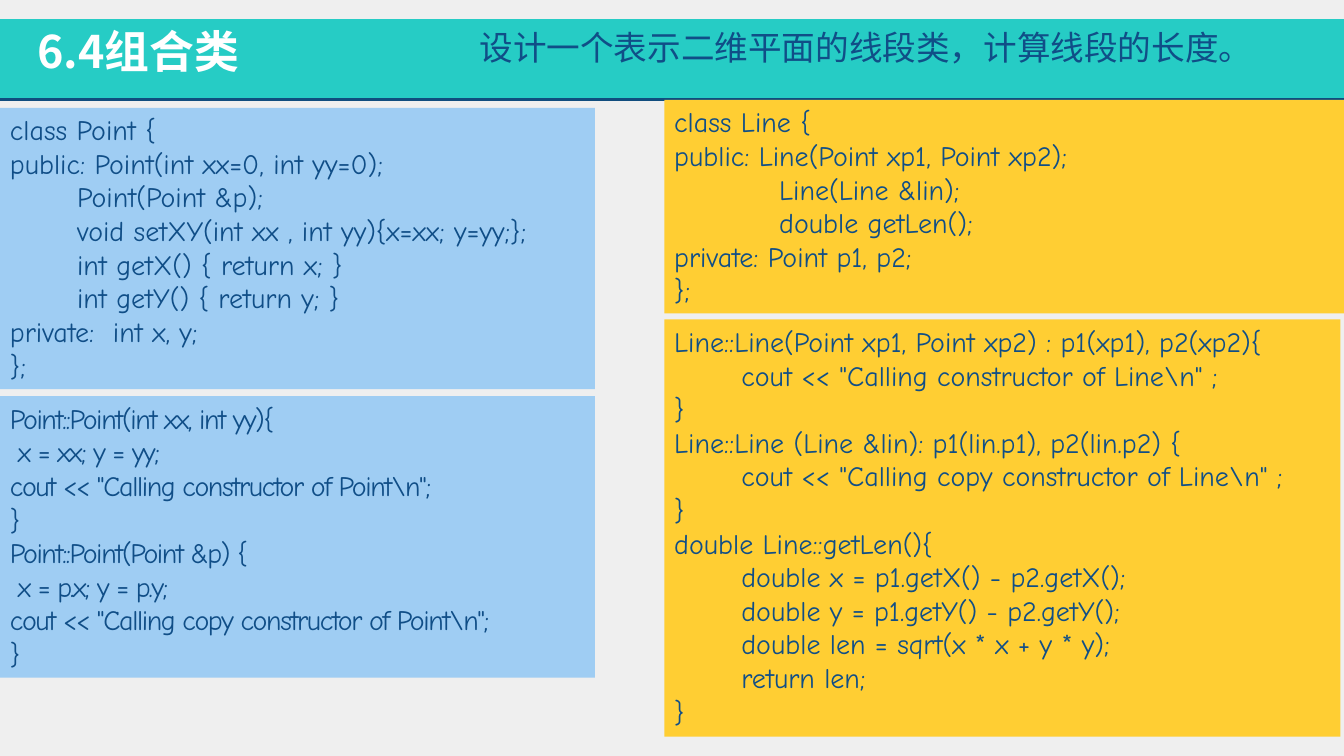
import pptx
import pptx.dml.color
import pptx.enum.shapes
import pptx.enum.text
import pptx.oxml.ns
import pptx.util
from lxml import etree

Pt = pptx.util.Pt
COLORS = {
    "background": "EFEFEF",
    "band": "26CCC5",
    "rule": "104D7E",
    "text": "104E87",
    "title": "FFFFFF",
    "point": "9FCDF3",
    "line": "FFCE33",
}
HEADING_FONT = "Noto Sans CJK JP"
CODE_FONT = "Comic Neue"


def rgb(name):
    return pptx.dml.color.RGBColor.from_string(COLORS[name])


def write_text(shape, text, font=CODE_FONT, size=20, color="text", bold=False,
               anchor="TOP", tracking=0, indent=0):
    frame = shape.text_frame
    frame.word_wrap = True
    frame.auto_size = pptx.enum.text.MSO_AUTO_SIZE.NONE
    frame.vertical_anchor = pptx.enum.text.MSO_ANCHOR[anchor]
    for index, line in enumerate(text.split("\n")):
        paragraph = frame.paragraphs[0] if index == 0 else frame.add_paragraph()
        paragraph.alignment = pptx.enum.text.PP_ALIGN.LEFT
        if line.startswith("\t"):
            paragraph._p.get_or_add_pPr().set("marL", str(Pt(indent)))
        run = paragraph.add_run()
        run.text = line.removeprefix("\t")
        run.font.name = font
        run.font.size = Pt(size)
        run.font.bold = bold
        run.font.color.rgb = rgb(color)
        properties = run.font._element
        east_asian = etree.SubElement(properties, pptx.oxml.ns.qn("a:ea"))
        east_asian.set("typeface", font)
        if tracking:
            properties.set("spc", str(tracking * 100))


presentation = pptx.Presentation()
presentation.slide_width = Pt(960)
presentation.slide_height = Pt(540)
slide = presentation.slides.add_slide(presentation.slide_layouts[5])
slide.background.fill.solid()
slide.background.fill.fore_color.rgb = rgb("background")
shapes = slide.shapes

band = shapes.add_shape(pptx.enum.shapes.MSO_SHAPE.RECTANGLE, 0, Pt(13.7), Pt(960), Pt(57.6))
band.shadow.inherit = False
band.fill.solid()
band.fill.fore_color.rgb = rgb("band")
band.line.fill.background()

rule = shapes.add_connector(pptx.enum.shapes.MSO_CONNECTOR.STRAIGHT, 0, Pt(71.3), Pt(960), Pt(71.3))
rule.line.color.rgb = rgb("rule")
rule.line.width = Pt(2)
etree.SubElement(rule._element.spPr, pptx.oxml.ns.qn("a:effectLst"))

title = shapes.title
title.left, title.top, title.width, title.height = Pt(19.5), Pt(13), Pt(632), Pt(46)
write_text(title, "6.4组合类", font=HEADING_FONT, size=32, color="title", bold=True, anchor="MIDDLE")
rule._element.addnext(title._element)

task = shapes.add_textbox(Pt(335.5), Pt(16), Pt(587), Pt(36))
write_text(task, "设计一个表示二维平面的线段类，计算线段的长度。", font=HEADING_FONT, size=24, anchor="MIDDLE")

POINT_METHODS = r"""Point::Point(int xx, int yy){
 x = xx; y = yy;
cout << "Calling constructor of Point\n";
}
Point::Point(Point &p) {
 x = p.x; y = p.y;
cout << "Calling copy constructor of Point\n";
}"""
LINE_METHODS = r"""Line::Line(Point xp1, Point xp2) : p1(xp1), p2(xp2){
	cout << "Calling constructor of Line\n" ;
}
Line::Line (Line &lin): p1(lin.p1), p2(lin.p2) {
	cout << "Calling copy constructor of Line\n" ;
}
double Line::getLen(){
	double x = p1.getX() - p2.getX();
	double y = p1.getY() - p2.getY();
	double len = sqrt(x * x + y * y);
	return len;
}"""
POINT_CLASS = """class Point {
public: Point(int xx=0, int yy=0);
	Point(Point &p);
	void setXY(int xx , int yy){x=xx; y=yy;};
	int getX() { return x; }
	int getY() { return y; }
private:  int x, y;
};"""
LINE_CLASS = """class Line {
public: Line(Point xp1, Point xp2);
	Line(Line &lin);
	double getLen();
private: Point p1, p2;
};"""

panels = [
    (POINT_METHODS, "point", 0, 283, 425, 201, -1, 0),
    (LINE_METHODS, "line", 474.5, 228.2, 483, 298, 0, 48),
    (POINT_CLASS, "point", 0, 77, 425, 201, 0, 48),
    (LINE_CLASS, "line", 474.5, 71.3, 485.5, 152.6, 0, 75),
]
for code, color, left, top, width, height, tracking, indent in panels:
    panel = shapes.add_shape(pptx.enum.shapes.MSO_SHAPE.RECTANGLE, Pt(left), Pt(top), Pt(width), Pt(height))
    panel.shadow.inherit = False
    panel.fill.solid()
    panel.fill.fore_color.rgb = rgb(color)
    panel.line.fill.background()
    write_text(panel, code, tracking=tracking, indent=indent)

presentation.save("out.pptx")
